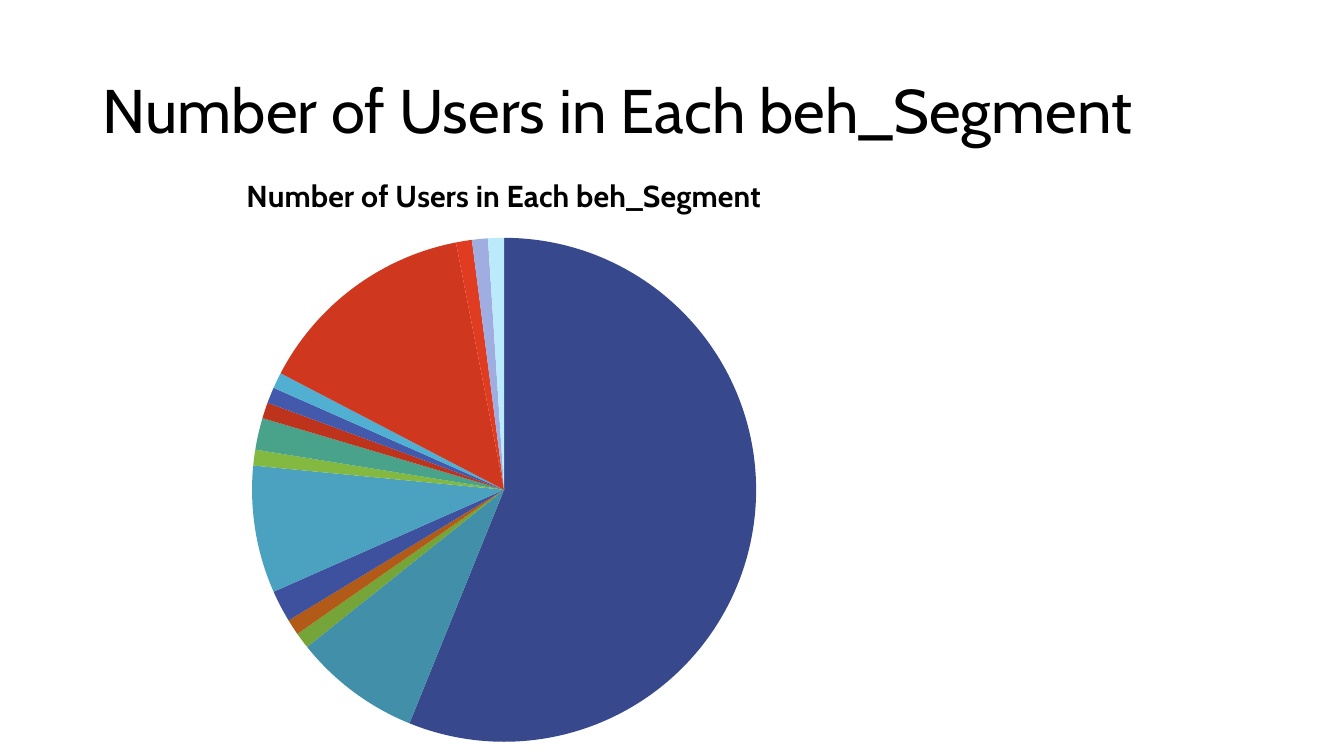
from lxml import etree
from pptx import Presentation
from pptx.chart.data import CategoryChartData as ChartData
from pptx.dml.color import RGBColor as RGB
from pptx.enum.chart import XL_CHART_TYPE as ChartType
from pptx.enum.text import MSO_ANCHOR as Anchor, MSO_AUTO_SIZE as AutoSize, PP_ALIGN as Align
from pptx.oxml import parse_xml
from pptx.oxml.ns import nsdecls
from pptx.util import Inches, Pt

COLORS = {
    "text": "000000",
    "blue": "4E67C8",
    "cyan": "5ECCF3",
    "lime": "A7EA52",
    "teal": "5DCEAF",
    "orange": "FF8021",
    "red": "F14124",
}
SEGMENT_HUES = ["blue", "cyan", "lime", "teal", "orange", "red"]
CYCLE_TONES = [-0.3, -0.21, -0.14, -0.07, 0, 0.25, 0.46, 0.58, 0.7]
HEADING = "Number of Users in Each beh_Segment"
USER_SHARES = [
    55, 8, 1, 0, 1, 0, 2, 8, 1, 2,
    0, 1, 1, 1, 0, 0, 0, 14, 0, 0,
    0, 0, 0, 1, 0, 0, 0, 0, 0, 0,
    0, 0, 0, 0, 0, 0, 1, 0, 0, 0,
    0, 0, 0, 1, 0, 0, 0, 0, 0, 0,
]
HEADING_FONT = {"name": "Cabin", "size": Pt(44), "bold": False}
CHART_FONT = {"name": "Cabin", "size": Pt(18)}
CHART_TITLE_FONT = {"name": "Cabin", "size": Pt(21.6), "bold": True}
HEADING_FRAME = {
    "word_wrap": True,
    "auto_size": AutoSize.NONE,
    "vertical_anchor": Anchor.MIDDLE,
}
PIE_LEFT, PIE_TOP, PIE_SIZE = Inches(1.5), Inches(0.86), Inches(5)


def apply(target, values):
    for name, value in values.items():
        setattr(target, name, value)


def style_font(font, values):
    apply(font, values)
    font.color.rgb = RGB.from_string(COLORS["text"])


def segment_color(index):
    cycle, hue = divmod(index, len(SEGMENT_HUES))
    tone = CYCLE_TONES[cycle]
    goal = 255 if tone > 0 else 0
    base = RGB.from_string(COLORS[SEGMENT_HUES[hue]])
    return RGB(*(round(part + (goal - part) * abs(tone)) for part in base))


def place_pie(chart, width, height):
    plot_area = chart._chartSpace.chart.plotArea
    for old_layout in plot_area.xpath("c:layout"):
        plot_area.remove(old_layout)
    layout = parse_xml(f"<c:layout {nsdecls('c')}><c:manualLayout/></c:layout>")
    settings = {
        "layoutTarget": "inner",
        "xMode": "edge",
        "yMode": "edge",
        "x": PIE_LEFT / width,
        "y": PIE_TOP / height,
        "w": PIE_SIZE / width,
        "h": PIE_SIZE / height,
    }
    namespace = etree.QName(layout).namespace
    for name, value in settings.items():
        setting = etree.SubElement(layout[0], f"{{{namespace}}}{name}")
        setting.set("val", str(value))
    plot_area.insert(0, layout)


def add_heading(slide, left, top, width, height):
    heading = slide.shapes.title
    apply(heading, {"left": left, "top": top, "width": width, "height": height})
    apply(heading.text_frame, HEADING_FRAME)
    heading.text_frame.text = HEADING
    line = heading.text_frame.paragraphs[0]
    apply(line, {"alignment": Align.LEFT, "line_spacing": 0.9})
    style_font(line.font, HEADING_FONT)


def add_segment_pie(slide, left, top, width, height):
    data = ChartData()
    data.categories = [str(number) for number in range(1, len(USER_SHARES) + 1)]
    data.add_series("Series 1", USER_SHARES)
    chart = slide.shapes.add_chart(ChartType.PIE, left, top, width, height, data).chart
    apply(chart, {"has_legend": False, "has_title": True})
    style_font(chart.font, CHART_FONT)
    chart_title = chart.chart_title.text_frame
    chart_title.text = HEADING
    style_font(chart_title.paragraphs[0].runs[0].font, CHART_TITLE_FONT)
    pie = chart.plots[0]
    pie.vary_by_categories = True
    for index in range(len(USER_SHARES)):
        segment = pie.series[0].points[index].format
        segment.fill.solid()
        segment.fill.fore_color.rgb = segment_color(index)
        segment.line.fill.background()
    place_pie(chart, width, height)


def main():
    deck = Presentation()
    apply(deck, {"slide_width": Inches(13.33), "slide_height": Inches(7.5)})
    slide = deck.slides.add_slide(deck.slide_layouts.get_by_name("Title Only"))
    add_heading(slide, Inches(0.92), Inches(0.4), Inches(11.5), Inches(1.45))
    add_segment_pie(slide, Inches(1), Inches(1.5), Inches(8), Inches(6))
    deck.save("out.pptx")


if __name__ == "__main__":
    main()
